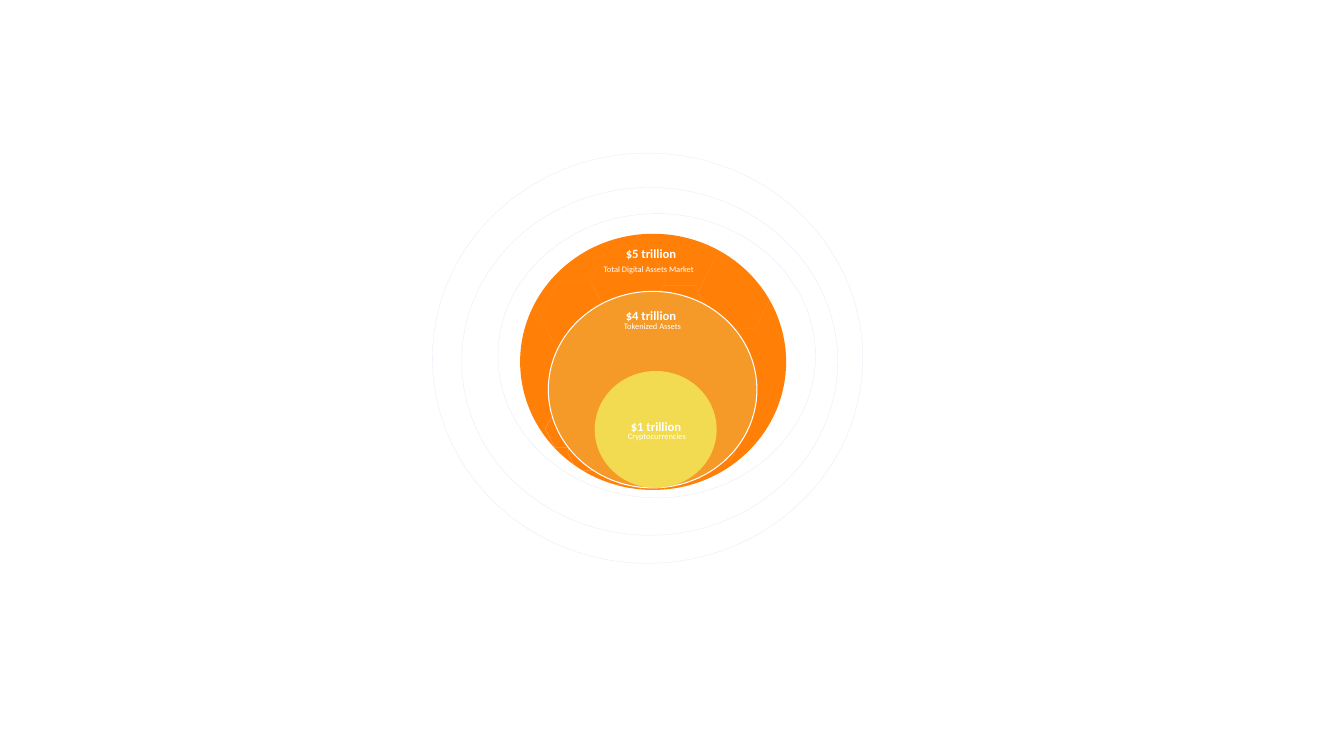
from lxml import etree
from pptx import Presentation
from pptx.dml.color import RGBColor
from pptx.enum.shapes import MSO_SHAPE
from pptx.enum.text import MSO_AUTO_SIZE
from pptx.oxml.ns import qn
from pptx.util import Pt

OVAL, HEXAGON = MSO_SHAPE.OVAL, MSO_SHAPE.HEXAGON
FIT_SHAPE = MSO_AUTO_SIZE.SHAPE_TO_FIT_TEXT
WHITE = RGBColor(0xFF, 0xFF, 0xFF)
ORANGE = RGBColor(0xFF, 0x7F, 0x07)
AMBER = RGBColor(0xF5, 0x9A, 0x28)
YELLOW = RGBColor(0xF2, 0xDB, 0x51)
BLUE = RGBColor(0x1D, 0x44, 0xBD)

prs = Presentation()
prs.slide_width, prs.slide_height = Pt(960), Pt(540)
s = prs.slides.add_slide(prs.slide_layouts[6])


def add_figure(kind, box, fill=None, line=None, width=0.25, opacity=100):
    sp = s.shapes.add_shape(kind, *[Pt(v) for v in box])
    sp.shadow.inherit = False
    if fill is None:
        sp.fill.background()
    else:
        sp.fill.solid()
        sp.fill.fore_color.rgb = fill
    if line is None:
        sp.line.fill.background()
        return
    sp.line.color.rgb = line
    sp.line.width = Pt(width)
    if opacity < 100:
        color = sp.line._ln.find(".//" + qn("a:srgbClr"))
        etree.SubElement(color, qn("a:alpha"), val=str(opacity * 1000))


def add_label(left, top, width, height, text, font):
    sp = s.shapes.add_textbox(Pt(left), Pt(top), Pt(width), Pt(height))
    tf = sp.text_frame
    tf.word_wrap = True
    tf.auto_size = FIT_SHAPE
    r = tf.paragraphs[0].add_run()
    r.text = text
    for name, value in font.items():
        setattr(r.font, name, value)
    r.font.color.rgb = WHITE


# Total market circle
add_figure(OVAL, (371.5, 167, 190, 183), ORANGE)

# Hexagon texture: small cells along the bottom, large cells along the top
small_cells = [(499, 302.4), (476.6, 315.4), (451.4, 323.3),
               (430.6, 319.7), (405.4, 309.6), (389.5, 293)]
for left, top in small_cells:
    add_figure(HEXAGON, (left, top, 29.5, 26.6), line=WHITE, opacity=26)

large_cells = [(386.6, 200.9, 48.2, 51.1), (421.9, 176.4, 54, 49),
               (461.5, 203.8, 47.5, 49), (498.2, 184.3, 54, 50.4)]
for opacity, box in enumerate(large_cells, start=10):
    add_figure(HEXAGON, box, line=WHITE, opacity=opacity)

# Nested market circles
add_figure(OVAL, (391.7, 208.1, 149, 140.4), AMBER, WHITE, 0.75)
add_figure(OVAL, (424.8, 265, 87.1, 83.5), YELLOW)

# Faint outer rings
rings = [(355.7, 152.6, 226.8, 203), (329.8, 133.9, 268.6, 248.4),
         (308.9, 109.4, 307.4, 293)]
for box in rings:
    add_figure(OVAL, box, line=BLUE, opacity=9)

# Amounts and their captions
amount_font = {"name": "Calibri", "size": Pt(9), "bold": True}
caption_font = {"name": "Calibri", "size": Pt(6), "bold": False}
labels = [
    ("$5 trillion", 439.9, 172.1, "Total Digital Assets Market", 424.1, 185),
    ("$4 trillion", 439.9, 216.7, "Tokenized Assets", 438.5, 226.1),
    ("$1 trillion", 443.5, 295.9, "Cryptocurrencies", 441.4, 304.6),
]
for amount, ax, ay, caption, cx, cy in labels:
    add_label(ax, ay, 116.6, 18.7, amount, amount_font)
    add_label(cx, cy, 138.2, 15.1, caption, caption_font)

prs.save("out.pptx")
